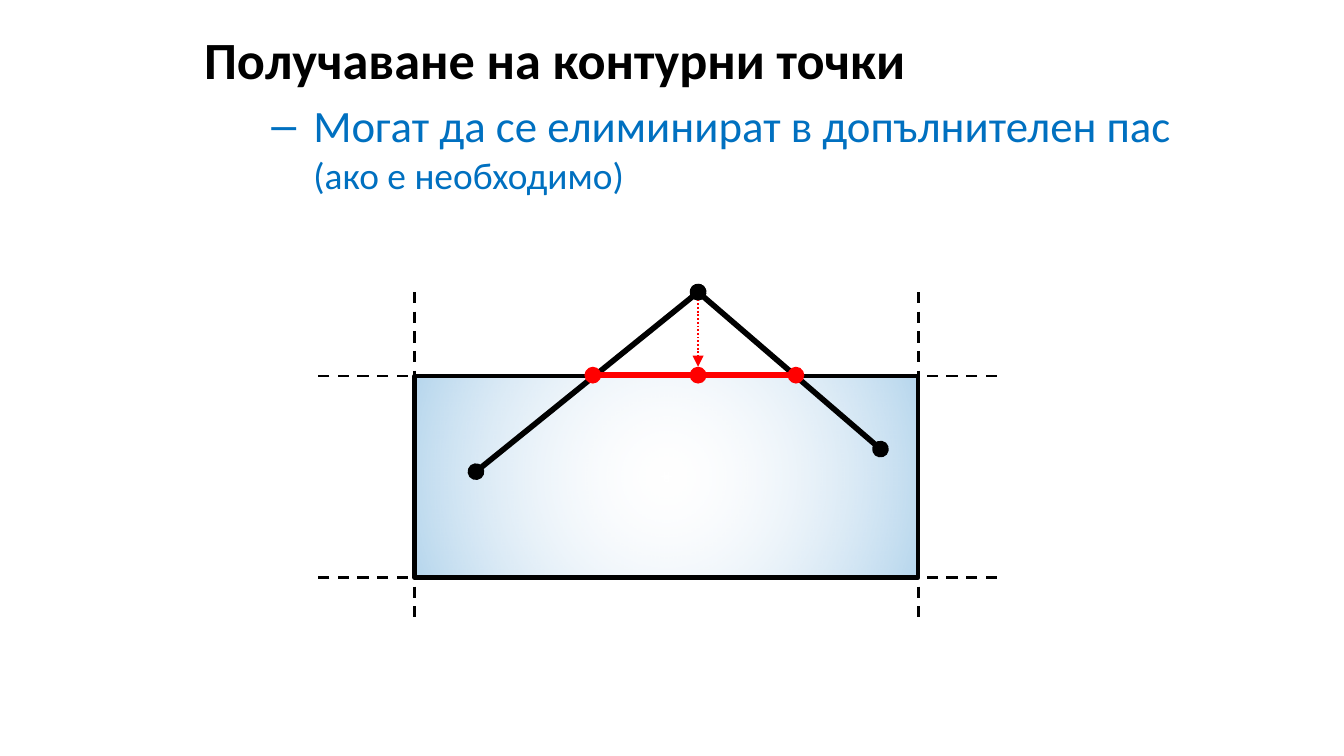
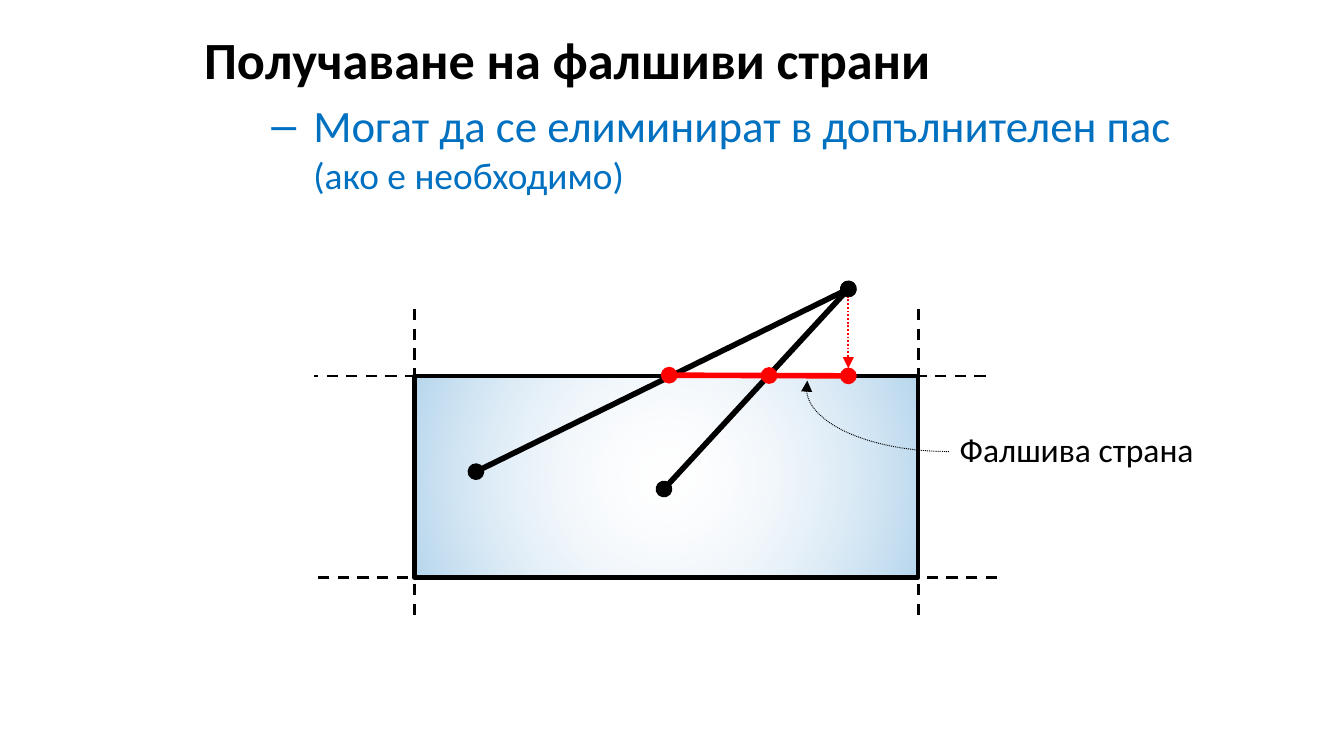
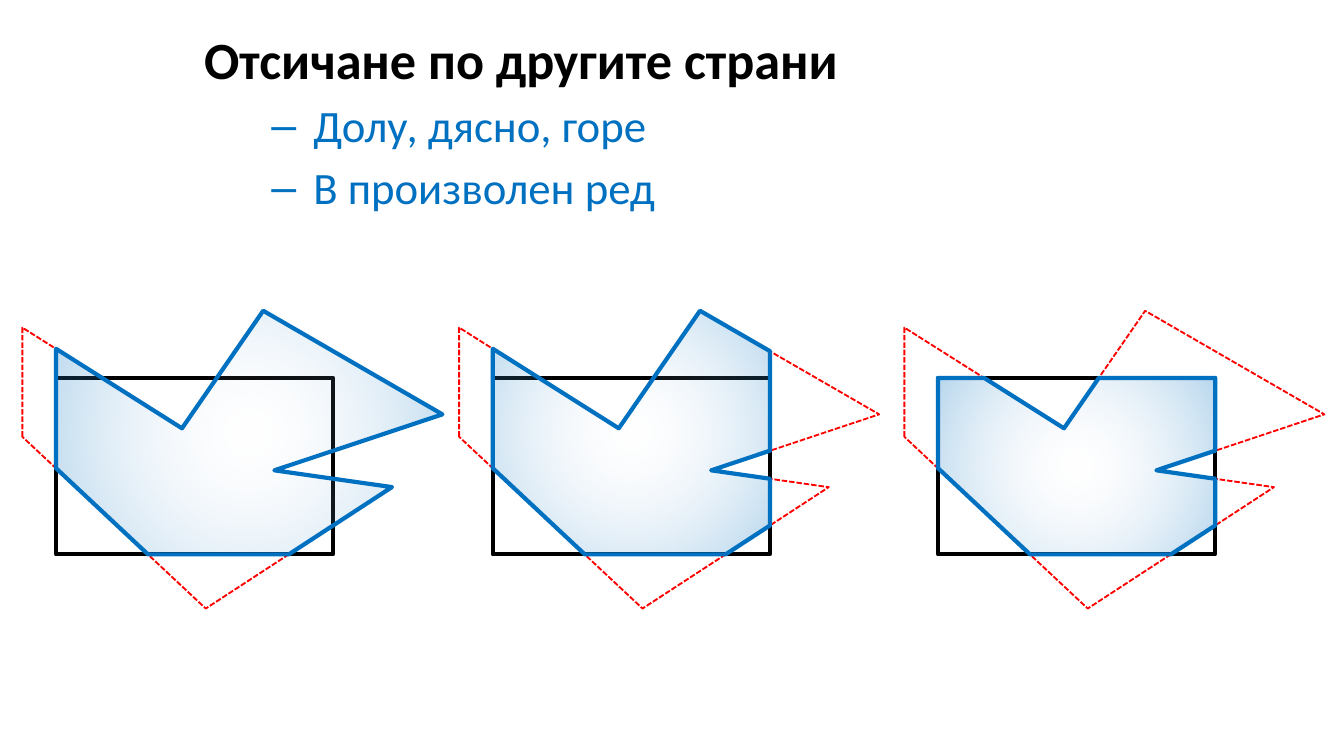
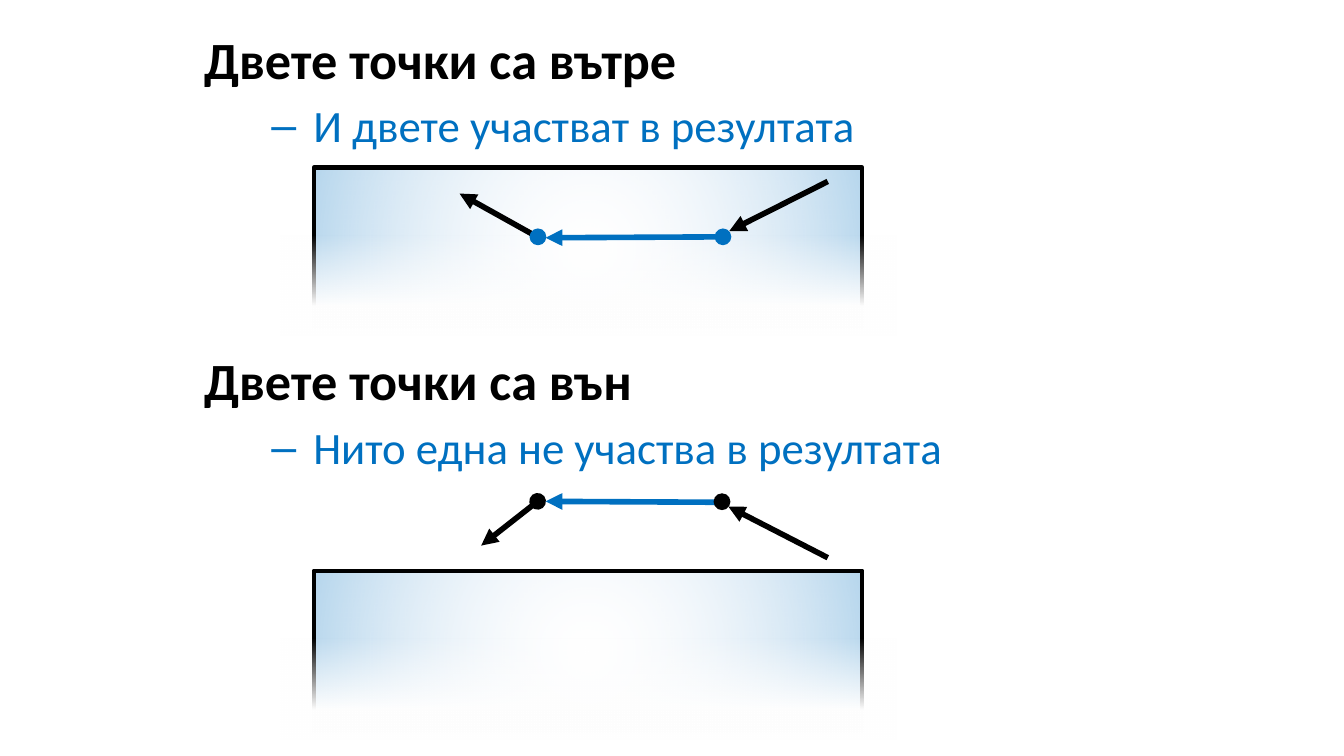
"""Build four slides on polygon clipping against a rectangular window."""
from lxml import etree
from pptx import Presentation
from pptx.dml.color import RGBColor
from pptx.enum import dml, shapes
from pptx.oxml import parse_xml
from pptx.oxml.ns import nsdecls, qn
from pptx.util import Pt

BLACK = RGBColor(0x00, 0x00, 0x00)
BLUE = RGBColor(0x00, 0x70, 0xC0)
RED = RGBColor(0xFF, 0x00, 0x00)
WHITE = RGBColor(0xFF, 0xFF, 0xFF)
PALE = RGBColor(0xE1, 0xE8, 0xF5)

FONT = "Calibri"
DASH = dml.MSO_LINE.DASH
SYS_DASH = dml.MSO_LINE.SQUARE_DOT
SYS_DOT = dml.MSO_LINE.ROUND_DOT
OVALS = {"head": "oval", "tail": "oval"}

TEXT_STYLES = {
    "heading": {"color": BLACK, "font": {"size": Pt(28), "bold": True}},
    "point": {"color": BLUE, "font": {"size": Pt(24)}, "before": 4.5,
              "margin": 58.5, "hanging": 22.5, "bullet": "–"},
    "remark": {"color": BLUE, "font": {"size": Pt(20)}, "margin": 58.5},
    "label": {"color": BLACK, "font": {"size": Pt(18)}},
}

GLOW = ([(0, PALE, 0), (100, BLUE, 29)],
        '<a:path path="circle"><a:fillToRect l="50000" t="50000" '
        'r="50000" b="50000"/></a:path>')
FADE = ([(25, WHITE, 100), (85, WHITE, 0)], '<a:lin ang="0" scaled="0"/>')

LEFT, TOP, RIGHT, BOTTOM = 30, 202.5, 178.5, 297
POLYGON = [(12, 234), (12, 175.5), (97.5, 229.5), (141, 166.5), (237, 222),
           (147, 252), (210, 261), (110.25, 326)]


class Deck:
    """Hold the presentation, its style and the current slide."""

    def __init__(self):
        self.file = Presentation()
        self.file.slide_width, self.file.slide_height = Pt(720), Pt(405)
        self.slide = None

    def new_slide(self, *content):
        self.slide = self.file.slides.add_slide(self.file.slide_layouts[6])
        self.words(102.25, 10.8, 617.75, 372, *content)

    def words(self, x, y, width, height, *content):
        frame = self.slide.shapes.add_textbox(
            Pt(x), Pt(y), Pt(width), Pt(height)).text_frame
        frame.word_wrap = True
        for index, (style, wording, *gap) in enumerate(content):
            look = TEXT_STYLES[style]
            paragraph = frame.add_paragraph() if index else frame.paragraphs[0]
            properties = paragraph._p.get_or_add_pPr()
            properties.set("marL", str(Pt(look.get("margin", 0))))
            properties.set("indent", str(-Pt(look.get("hanging", 0))))
            if "bullet" in look:
                etree.SubElement(properties, qn("a:buFont"), typeface="Arial")
                etree.SubElement(properties, qn("a:buChar"), char=look["bullet"])
            paragraph.space_before = Pt(gap[0] if gap else look.get("before", 0))
            run = paragraph.add_run()
            run.text = wording
            for name, value in {"name": FONT, **look["font"]}.items():
                setattr(run.font, name, value)
            run.font.color.rgb = look["color"]

    def stroke(self, shape, color, width, dash=None, head=None, tail=None):
        shape.line.color.rgb = color
        for name, value in {"width": Pt(width), "dash_style": dash}.items():
            setattr(shape.line, name, value)
        outline = shape._element.spPr.find(qn("a:ln"))
        for tag, kind in (("a:headEnd", head), ("a:tailEnd", tail)):
            if kind:
                etree.SubElement(outline, qn(tag), type=kind)

    def gradient(self, shape, stops, direction):
        marks = "".join(
            f'<a:gs pos="{place * 1000}"><a:srgbClr val="{color}">'
            f'<a:alpha val="{alpha * 1000}"/></a:srgbClr></a:gs>'
            for place, color, alpha in stops)
        properties = shape._element.spPr
        properties.replace(properties.find(qn("a:noFill")), parse_xml(
            f'<a:gradFill {nsdecls("a")} rotWithShape="1"><a:gsLst>{marks}'
            f'</a:gsLst>{direction}</a:gradFill>'))

    def finish(self, shape, fill=None, line=None, **ends):
        shape.shadow.inherit = False
        shape.fill.background()
        if fill:
            self.gradient(shape, *fill)
        if line:
            self.stroke(shape, *line, **ends)
        else:
            shape.line.fill.background()

    def box(self, x, y, width, height, fill=None, line=None, rotation=0):
        shape = self.slide.shapes.add_shape(
            shapes.MSO_SHAPE.RECTANGLE, Pt(x), Pt(y), Pt(width), Pt(height))
        shape.rotation = rotation
        self.finish(shape, fill, line)

    def dot(self, x, y, color):
        shape = self.slide.shapes.add_shape(
            shapes.MSO_SHAPE.OVAL, Pt(x - 4.5), Pt(y - 4.5), Pt(9), Pt(9))
        self.finish(shape)
        shape.fill.solid()
        shape.fill.fore_color.rgb = color

    def arc(self, x, y, width, height):
        shape = self.slide.shapes.add_shape(
            shapes.MSO_SHAPE.ARC, Pt(x), Pt(y), Pt(width), Pt(height))
        shape.adjustments[0], shape.adjustments[1] = 162, 1.73
        shape.rotation = 180
        self.finish(shape, line=(BLACK, 0.5, SYS_DOT), tail="triangle")

    def line(self, start, end, color=BLACK, width=3, dash=None, **ends):
        connector = self.slide.shapes.add_connector(
            shapes.MSO_CONNECTOR.STRAIGHT, *map(Pt, start + end))
        self.stroke(connector, color, width, dash, **ends)
        etree.SubElement(connector._element.spPr, qn("a:effectLst"))

    def outline(self, points, shift, line, fill=None):
        corners = [(Pt(x + shift), Pt(y)) for x, y in points]
        builder = self.slide.shapes.build_freeform(*corners[0])
        builder.add_line_segments(corners[1:], close=True)
        self.finish(builder.convert_to_shape(), fill, line)

    def window(self, guide_top, guide_bottom, guide_right):
        for x in (222, 492):
            self.line((x, guide_top), (x, guide_bottom), width=1.5, dash=DASH)
        for y, right in ((309.5, 534), (201.5, guide_right)):
            self.line((right, y), (168, y), width=1.5, dash=DASH)
        self.box(222, 201.5, 270, 108, GLOW, (BLACK, 2.25))

    def fading_window(self, drop):
        self.box(272.2, drop - 14.4, 85.7, 293.8, GLOW, (BLACK, 2.25), 270)
        self.box(283.7, drop - 16.6, 63.4, 329.8, FADE, rotation=270)


def clip(points, axis, limit, side):
    """Return the part of a polygon on one side of an axis-parallel line."""
    kept = []
    for start, end in zip(points, points[1:] + points[:1]):
        before, after = start[axis] - limit, end[axis] - limit
        if side * before >= 0:
            kept.append(start)
        if before * after < 0:
            share = before / (before - after)
            kept.append(tuple(a + share * (b - a) for a, b in zip(start, end)))
    return kept


def contour_points(deck):
    """Show an outside vertex projected between two crossings."""
    deck.new_slide(("heading", "Получаване на контурни точки"),
                   ("point", "Могат да се елиминират в допълнителен пас"),
                   ("remark", "(ако е необходимо)"))
    deck.window(156.5, 332, 534)
    peak = (374, 156.5)
    deck.line(peak, (255, 252.7), **OVALS)
    deck.line((374, 160.5), (374, 196.5), RED, 1, SYS_DOT, tail="triangle")
    deck.line((471.7, 240.6), peak, **OVALS)
    deck.line((426.4, 201), (317.6, 201), RED, **OVALS)
    deck.dot(374, 201, RED)


def false_sides(deck):
    """Show an outside vertex projected beyond both crossings."""
    deck.new_slide(("heading", "Получаване на фалшиви страни"),
                   ("point", "Могат да се елиминират в допълнителен пас"),
                   ("remark", "(ако е необходимо)"))
    deck.window(165.6, 332, 528)
    peak = (454.5, 154.8)
    deck.line(peak, (255, 252.7), **OVALS)
    deck.line((454.5, 201.4), (358.5, 201), RED, **OVALS)
    deck.line((454.5, 156.5), (454.5, 197.3), RED, 1, SYS_DOT, tail="triangle")
    deck.words(507, 226, 162, 29, ("label", "Фалшива страна"))
    deck.arc(432, 173.5, 152.6, 68.4)
    deck.line((355.7, 262), peak, **OVALS)
    deck.dot(412, 201.2, RED)


def other_sides(deck):
    """Show the polygon after each further clipping step."""
    deck.new_slide(("heading", "Отсичане по другите страни"),
                   ("point", "Долу, дясно, горе"),
                   ("point", "В произволен ред"))
    clipped = clip(POLYGON, 0, LEFT, 1)
    steps = ((0, 1, BOTTOM, -1), (234, 0, RIGHT, -1), (472.5, 1, TOP, 1))
    for shift, *edge in steps:
        clipped = clip(clipped, *edge)
        deck.box(LEFT + shift, TOP, RIGHT - LEFT, BOTTOM - TOP,
                 line=(BLACK, 2.25))
        deck.outline(POLYGON, shift, (RED, 1, SYS_DASH))
        deck.outline(clipped, shift, (BLUE, 2.25), GLOW)


def both_points(deck):
    """Show an edge wholly inside and an edge wholly outside."""
    deck.new_slide(("heading", "Двете точки са вътре"),
                   ("point", "И двете участват в резултата"),
                   ("heading", "Двете точки са вън", 105.5),
                   ("point", "Нито една не участва в резултата"))
    deck.fading_window(0)
    deck.line((390.7, 123.8), (443.5, 97.2), head="triangle")
    deck.line((246.2, 103.7), (288.7, 127.4), head="triangle")
    deck.line((292.3, 127.4), (387.3, 126.9), BLUE, head="triangle", tail="oval")
    deck.fading_window(216)
    deck.line((390.2, 271.4), (443.5, 298.8), head="triangle")
    deck.line((257.8, 292.3), (288, 268.6), head="triangle", tail="oval")
    deck.line((292.3, 268.6), (387.3, 269.1), BLUE, head="triangle")
    deck.dot(288.2, 126.9, BLUE)
    deck.dot(386.8, 268.8, BLACK)


def main():
    """Build the slides and save the file."""
    deck = Deck()
    for build in (contour_points, false_sides, other_sides, both_points):
        build(deck)
    deck.file.save("out.pptx")


if __name__ == "__main__":
    main()
